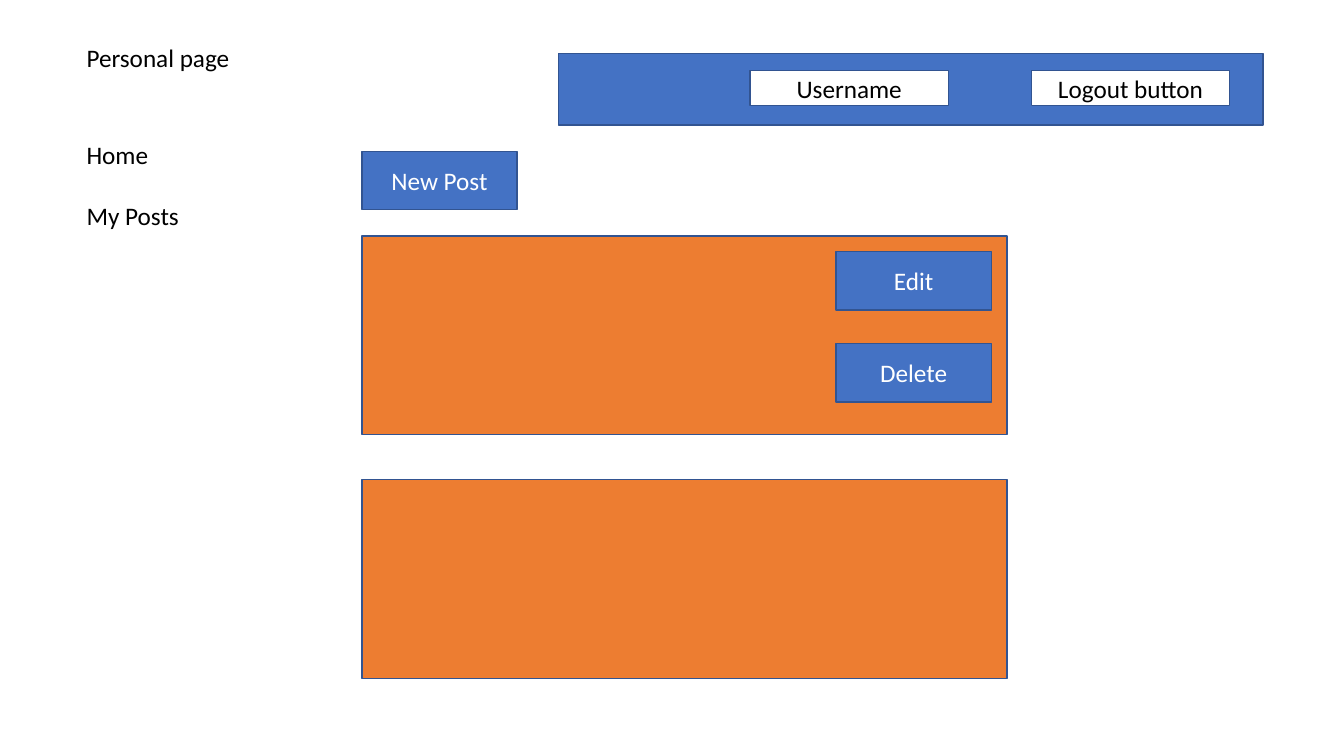
import pptx
import pptx.util
import pptx.dml.color
import pptx.enum.shapes
import pptx.enum.text

Pt = pptx.util.Pt
ALIGN = pptx.enum.text.PP_ALIGN
ANCHOR = pptx.enum.text.MSO_ANCHOR

COLORS = {
    "blue": "4472C4",
    "orange": "ED7D31",
    "edge": "325491",
    "white": "FFFFFF",
    "black": "000000",
}
TITLE = "Personal page"
MENU = ["Home", "My Posts"]
FIELDS = ["Username", "Logout button"]
ACTIONS = ["Edit", "Delete"]
NEW = "New Post"
POSTS = 2

FONT, SIZE = "Calibri", 18
SIDE, SIDE_W = 54.7, 143.3
MENU_GAP = 22
BAR = (398.9, 38.2, 503.3, 51.1)
FIELD_X, FIELD_Y, FIELD_STEP = 535.7, 50.4, 200.9
FIELD_W, FIELD_H = 141.8, 25.2
POST_X, POST_Y, POST_STEP = 258.5, 168.5, 174.2
POST_W, POST_H = 460.8, 141.8
BUTTON_W, BUTTON_H = 110.9, 41.8
NEW_Y = 108
INSET, ACTION_STEP = 11.2, 65.6


def paint(name):
    return pptx.dml.color.RGBColor.from_string(COLORS[name])


def write(para, text, color):
    run = para.add_run()
    run.text = text
    run.font.name = FONT
    run.font.size = Pt(SIZE)
    run.font.color.rgb = paint(color)


def add_box(slide, x, y, w, h, fill, text="", color="white"):
    box = slide.shapes.add_shape(
        pptx.enum.shapes.MSO_SHAPE.RECTANGLE, Pt(x), Pt(y), Pt(w), Pt(h))
    box.shadow.inherit = False
    box.fill.solid()
    box.fill.fore_color.rgb = paint(fill)
    box.line.color.rgb = paint("edge")
    box.line.width = Pt(1)
    if text:
        frame = box.text_frame
        frame.vertical_anchor = ANCHOR.MIDDLE
        frame.paragraphs[0].alignment = ALIGN.CENTER
        write(frame.paragraphs[0], text, color)


def add_list(slide, y, h, lines):
    """Add a side text box with one spaced paragraph per line."""
    frame = slide.shapes.add_textbox(
        Pt(SIDE), Pt(y), Pt(SIDE_W), Pt(h)).text_frame
    frame.word_wrap = True
    frame.auto_size = pptx.enum.text.MSO_AUTO_SIZE.SHAPE_TO_FIT_TEXT
    for i, line in enumerate(lines):
        para = frame.add_paragraph() if i else frame.paragraphs[0]
        if i:
            para.space_before = Pt(MENU_GAP)
        write(para, line, "black")


def main():
    deck = pptx.Presentation()
    deck.slide_width, deck.slide_height = Pt(960), Pt(540)
    slide = deck.slides.add_slide(deck.slide_layouts[6])

    add_list(slide, 26.6, 29.1, [TITLE])
    add_list(slide, 95.8, 72.7, MENU)

    add_box(slide, *BAR, "blue")
    for i, field in enumerate(FIELDS):
        add_box(slide, FIELD_X + i * FIELD_STEP, FIELD_Y, FIELD_W, FIELD_H,
                "white", field, "black")

    for i in range(POSTS):
        add_box(slide, POST_X, POST_Y + i * POST_STEP, POST_W, POST_H,
                "orange")

    add_box(slide, POST_X, NEW_Y, BUTTON_W, BUTTON_H, "blue", NEW)
    left = POST_X + POST_W - INSET - BUTTON_W
    for i, action in enumerate(ACTIONS):
        add_box(slide, left, POST_Y + INSET + i * ACTION_STEP,
                BUTTON_W, BUTTON_H, "blue", action)

    deck.save("out.pptx")


if __name__ == "__main__":
    main()
